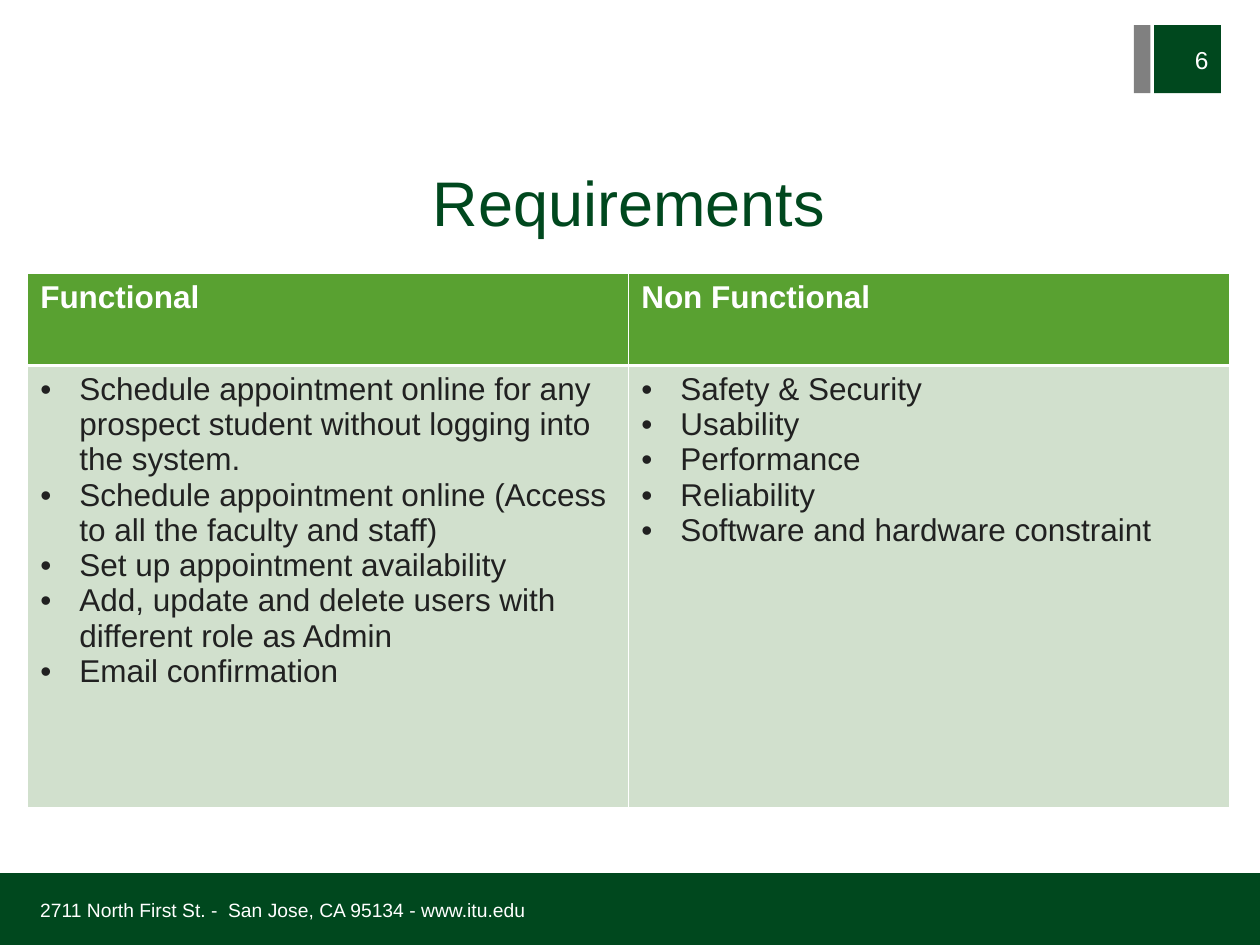
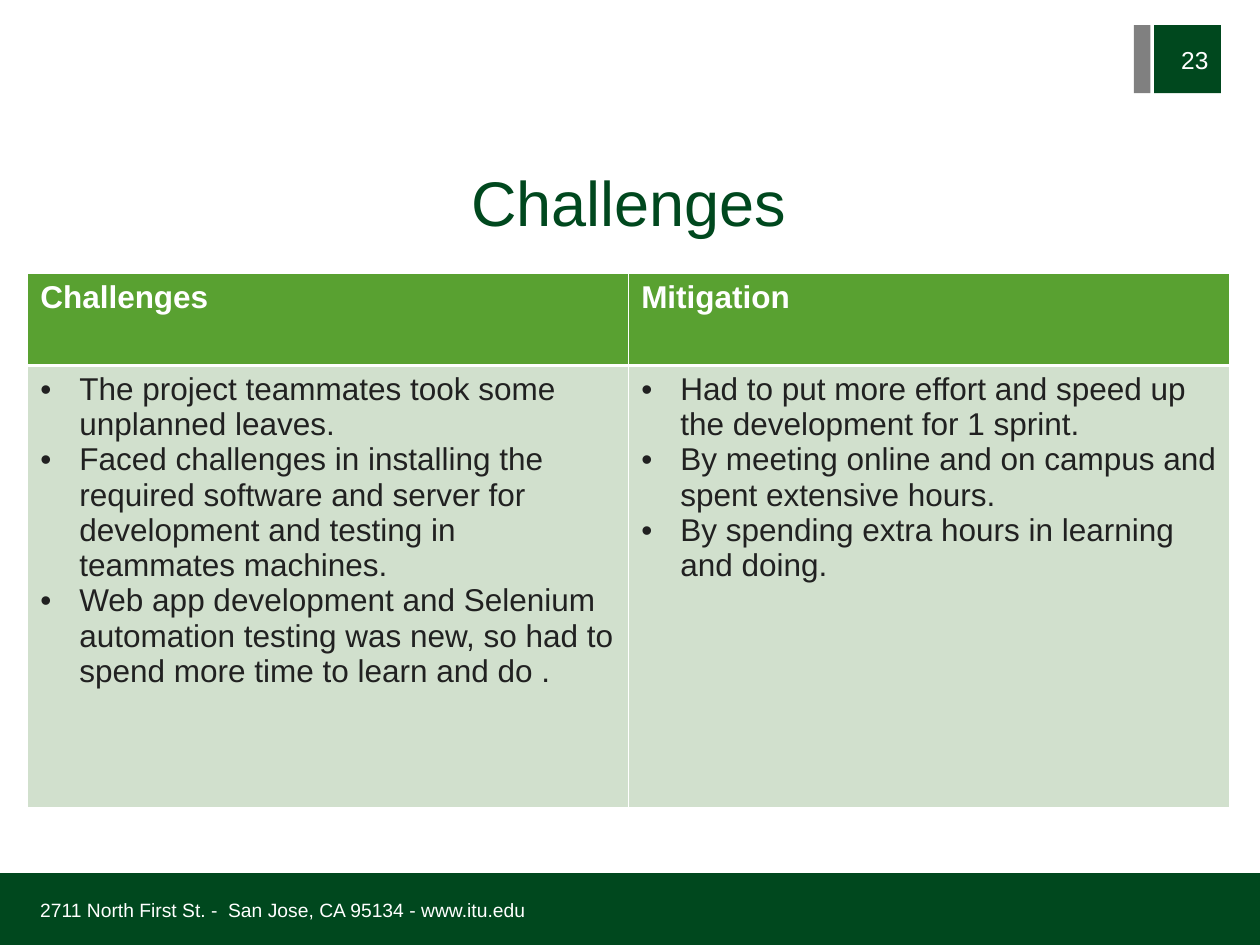
from lxml.etree import SubElement
from pptx import Presentation
from pptx.dml.color import RGBColor
from pptx.enum.shapes import MSO_SHAPE
from pptx.enum.text import MSO_ANCHOR, PP_ALIGN
from pptx.oxml.ns import qn
from pptx.util import Inches, Pt

DARK_GREEN = RGBColor(0x00, 0x48, 0x1E)
HEADER_GREEN = RGBColor(0x59, 0xA1, 0x31)
PALE_GREEN = RGBColor(0xD1, 0xE0, 0xCD)
GREY = RGBColor(0x80, 0x80, 0x80)
INK = RGBColor(0x21, 0x21, 0x21)
WHITE = RGBColor(0xFF, 0xFF, 0xFF)

FONT = "Arial"
ADDRESS = "2711 North First St. -  San Jose, CA 95134 - www.itu.edu"
MARGIN = 0.22
CONTENT_WIDTH = 9.54
ROW_HEIGHTS = (0.73, 3.51)
BULLET_INDENT = Inches(0.31)
THIN, THICK = Pt(0.45), Pt(1.47)

SLIDES = [
    (6, "Requirements", {
        "Functional": [
            "Schedule appointment online for any prospect student without logging into the system.",
            "Schedule appointment online (Access to all the faculty and staff)",
            "Set up appointment availability",
            "Add, update and delete users with different role as Admin",
            "Email confirmation",
        ],
        "Non Functional": [
            "Safety & Security",
            "Usability",
            "Performance",
            "Reliability",
            "Software and hardware constraint",
        ],
    }),
    (23, "Challenges", {
        "Challenges": [
            "The project teammates took some unplanned leaves.",
            "Faced challenges in installing the required software and server for development and testing in teammates machines.",
            "Web app development and Selenium automation testing was new, so had to spend more time to learn and do .",
        ],
        "Mitigation": [
            "Had to put more effort and speed up the development for 1 sprint.",
            "By meeting online and on campus and spent extensive hours.",
            "By spending extra hours in learning and doing.",
        ],
    }),
]


def style_font(font, size, color, bold=False):
    font.name = FONT
    font.size = Pt(size)
    font.color.rgb = color
    font.bold = bold


def add_block(slide, left, top, width, height, color):
    block = slide.shapes.add_shape(
        MSO_SHAPE.RECTANGLE, Inches(left), Inches(top), Inches(width), Inches(height))
    block.shadow.inherit = False
    block.fill.solid()
    block.fill.fore_color.rgb = color
    block.line.fill.background()


def add_label(slide, text, left, top, width, height, size, color, align=PP_ALIGN.LEFT):
    label = slide.shapes.add_textbox(
        Inches(left), Inches(top), Inches(width), Inches(height))
    frame = label.text_frame
    frame.word_wrap = True
    frame.vertical_anchor = MSO_ANCHOR.MIDDLE
    frame.text = text
    paragraph = frame.paragraphs[0]
    paragraph.alignment = align
    style_font(paragraph.runs[0].font, size, color)


def add_bullet(paragraph):
    properties = paragraph._p.get_or_add_pPr()
    properties.set("marL", str(BULLET_INDENT))
    properties.set("indent", str(-BULLET_INDENT))
    bullet_color = SubElement(properties, qn("a:buClr"))
    SubElement(bullet_color, qn("a:srgbClr"), val=str(INK))
    SubElement(properties, qn("a:buFont"), typeface=FONT)
    SubElement(properties, qn("a:buChar"), char="•")


def add_borders(cell, top, bottom):
    properties = cell._tc.get_or_add_tcPr()
    for side, width in (("L", THIN), ("R", THIN), ("T", top), ("B", bottom)):
        border = SubElement(properties, qn(f"a:ln{side}"), w=str(width))
        fill = SubElement(border, qn("a:solidFill"))
        SubElement(fill, qn("a:srgbClr"), val=str(WHITE))


def fill_cell(cell, text, background, color, top, bottom, bold=False, bulleted=False):
    add_borders(cell, top, bottom)
    cell.fill.solid()
    cell.fill.fore_color.rgb = background
    cell.text_frame.text = text
    for paragraph in cell.text_frame.paragraphs:
        if bulleted:
            add_bullet(paragraph)
        style_font(paragraph.runs[0].font, 18, color, bold)


def add_comparison(slide, columns):
    table = slide.shapes.add_table(
        len(ROW_HEIGHTS), len(columns), Inches(MARGIN), Inches(2.17),
        Inches(CONTENT_WIDTH), Inches(sum(ROW_HEIGHTS))).table
    for row, height in zip(table.rows, ROW_HEIGHTS):
        row.height = Inches(height)
    for index, (heading, points) in enumerate(columns.items()):
        table.columns[index].width = Inches(CONTENT_WIDTH / len(columns))
        fill_cell(table.cell(0, index), heading, HEADER_GREEN, WHITE,
                  THIN, THICK, bold=True)
        fill_cell(table.cell(1, index), "\n".join(points), PALE_GREEN, INK,
                  THICK, THIN, bulleted=True)


def add_frame(slide, number, title):
    add_block(slide, -0.05, 6.93, 10.14, 0.67, DARK_GREEN)
    add_block(slide, 9.16, 0.2, 0.53, 0.54, DARK_GREEN)
    add_block(slide, 9, 0.2, 0.13, 0.54, GREY)
    add_label(slide, ADDRESS, MARGIN, 7.02, 6.7, 0.4, 11, WHITE)
    add_label(slide, str(number), 9.08, 0.27, 0.61, 0.4, 14, WHITE, PP_ALIGN.RIGHT)
    add_label(slide, title, MARGIN, 1.23, CONTENT_WIDTH, 0.73, 36, DARK_GREEN,
              PP_ALIGN.CENTER)


def main():
    deck = Presentation()
    deck.slide_width = Inches(10)
    deck.slide_height = Inches(7.5)
    for number, title, columns in SLIDES:
        slide = deck.slides.add_slide(deck.slide_layouts[6])
        add_frame(slide, number, title)
        add_comparison(slide, columns)
    deck.save("out.pptx")


if __name__ == "__main__":
    main()
